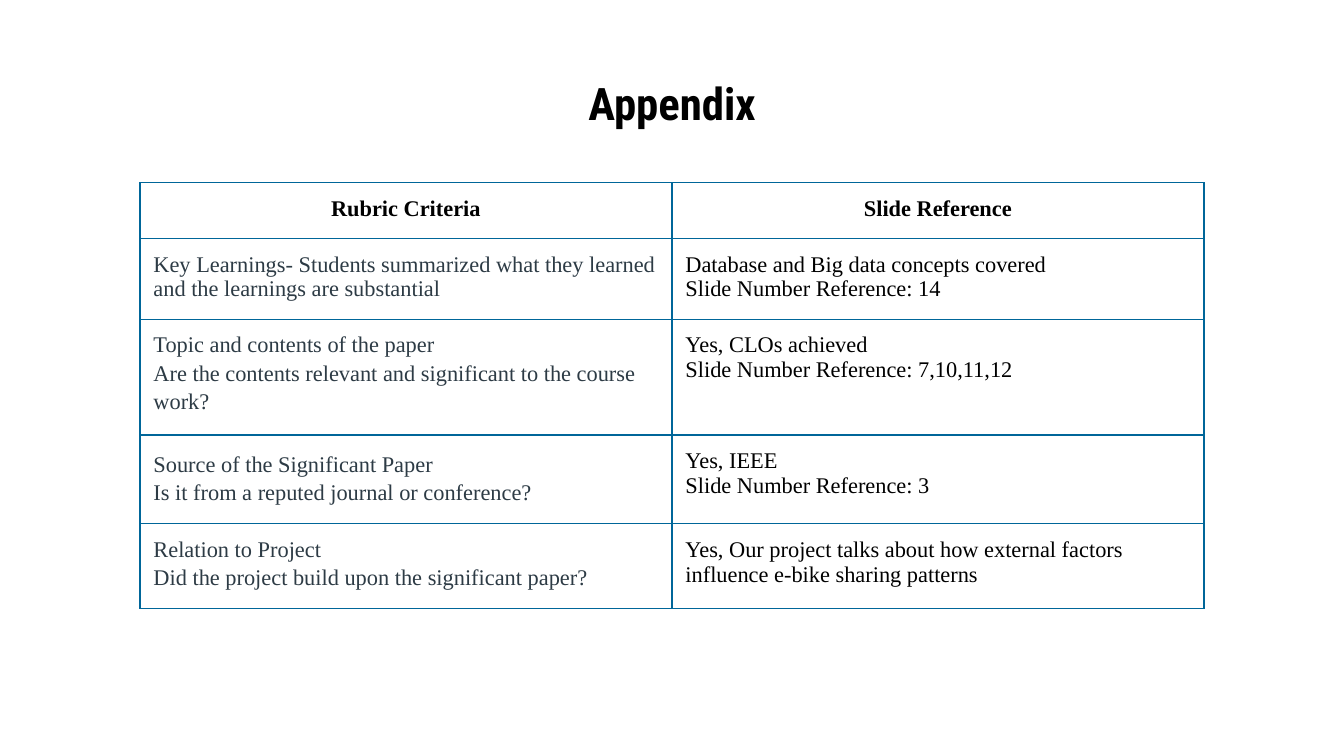
from lxml.etree import SubElement
from pptx import Presentation
from pptx.dml.color import RGBColor
from pptx.enum.text import MSO_ANCHOR, PP_ALIGN
from pptx.oxml.ns import qn
from pptx.util import Inches, Pt

# Content: each cell lists (text, line spacing) pairs
TITLE = "Appendix"
HEAD = ["Rubric Criteria", "Slide Reference"]
ROWS = [
    ([("Key Learnings- Students summarized what they learned and the learnings are substantial", 1)],
     [("Database and Big data concepts covered", 1),
      ("Slide Number Reference: 14", 1)]),
    ([("Topic and contents of the paper", 1),
      ("Are the contents relevant and significant to the course work?", 1.15)],
     [("Yes, CLOs achieved", 1),
      ("Slide Number Reference: 7,10,11,12", 1)]),
    ([("Source of the Significant Paper", 1.15),
      ("Is it from a reputed journal or conference?", 1.15)],
     [("Yes, IEEE", 1),
      ("Slide Number Reference: 3", 1)]),
    ([("Relation to Project", 1),
      ("Did the project build upon the significant paper?", 1.15)],
     [("Yes, Our project talks about how external factors influence e-bike sharing patterns", 1)]),
]

BLACK = RGBColor(0x00, 0x00, 0x00)
SLATE = RGBColor(0x2D, 0x3B, 0x45)
BLUE = RGBColor(0x00, 0x66, 0x99)

# Lengths in inches, on a 16:9 slide
WIDE = 10
HIGH = WIDE * 9 / 16
COL, ROW, TOP = WIDE * 19 / 48, WIDE / 24, 1.36
PAD = Inches(0.1)


def write(frame, lines, face, size, color, bold=False, align=PP_ALIGN.LEFT):
    for i, (text, gap) in enumerate(lines):
        par = frame.add_paragraph() if i else frame.paragraphs[0]
        par.alignment = align
        par.line_spacing = float(gap)
        run = par.add_run()
        run.text = text
        # Run fonts also size the paragraph end, which sets row height
        font = run.font
        font.name, font.size, font.bold = face, Pt(size), bold
        font.color.rgb = color


def pad(box):
    box.margin_left = box.margin_right = PAD
    box.margin_top = box.margin_bottom = PAD


def border(cell):
    props = cell._tc.get_or_add_tcPr()
    for side in ("lnL", "lnR", "lnT", "lnB"):
        line = SubElement(props, qn("a:" + side), w=str(Pt(0.75)))
        fill = SubElement(line, qn("a:solidFill"))
        SubElement(fill, qn("a:srgbClr"), val=str(BLUE))


deck = Presentation()
deck.slide_width, deck.slide_height = Inches(WIDE), Inches(HIGH)
slide = deck.slides.add_slide(deck.slide_layouts[6])

# Title
box = slide.shapes.add_textbox(Inches(0.5), Inches(0.45), Inches(WIDE - 1), Inches(0.63))
frame = box.text_frame
frame.word_wrap = True
frame.vertical_anchor = MSO_ANCHOR.MIDDLE
pad(frame)
write(frame, [(TITLE, 1)], "Roboto Condensed", 24, BLACK, True, PP_ALIGN.CENTER)

# Table, centred on the slide
grid = [[[(text, 1)] for text in HEAD]] + ROWS
cols = len(HEAD)
table = slide.shapes.add_table(
    len(grid), cols, Inches((WIDE - cols * COL) / 2), Inches(TOP),
    Inches(cols * COL), Inches(len(grid) * ROW)).table
table.horz_banding = False
for r, row in enumerate(grid):
    table.rows[r].height = Inches(ROW)
    for c, lines in enumerate(row):
        cell = table.cell(r, c)
        pad(cell)
        border(cell)
        cell.fill.background()
        head = r == 0
        write(cell.text_frame, lines, "Times New Roman", 12,
              BLACK if head or c else SLATE, head,
              PP_ALIGN.CENTER if head else PP_ALIGN.LEFT)

deck.save("out.pptx")
